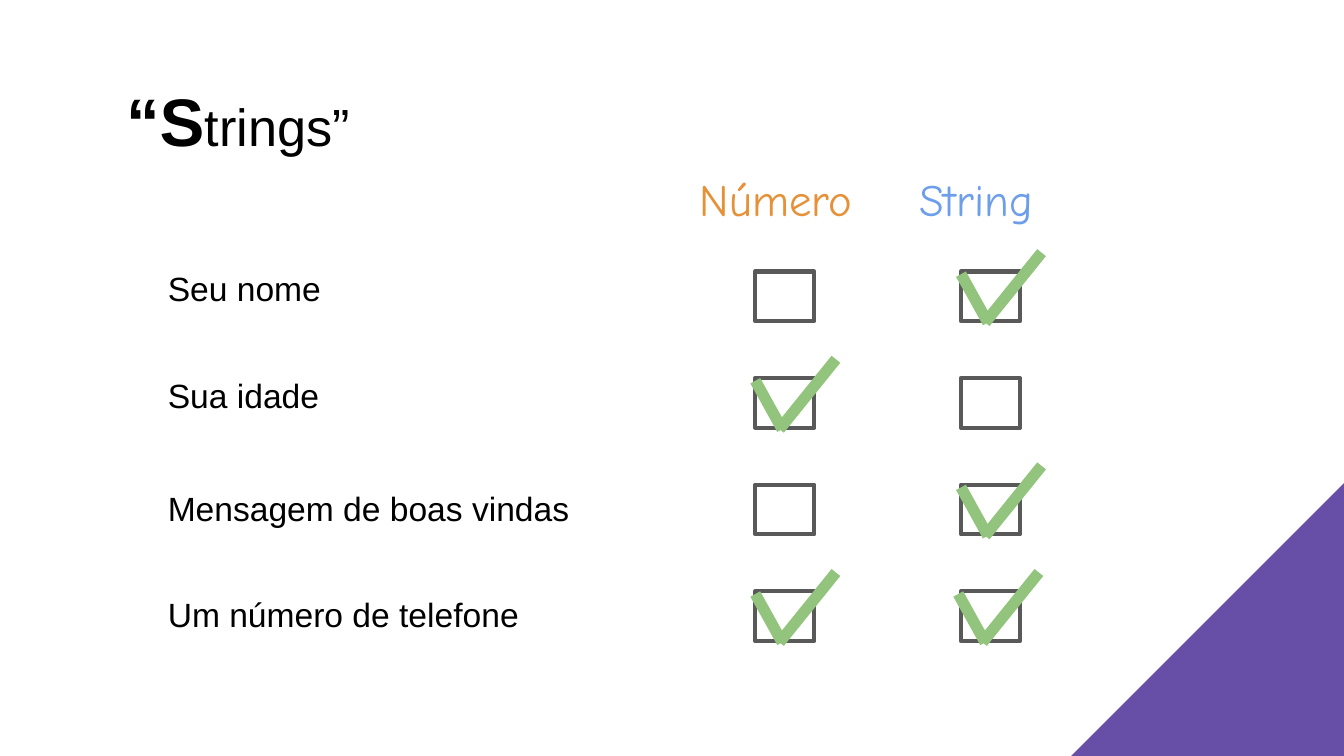
from copy import deepcopy
from dataclasses import dataclass

from lxml.etree import SubElement
from pptx import Presentation
from pptx.dml.color import RGBColor
from pptx.enum.shapes import MSO_CONNECTOR, MSO_SHAPE
from pptx.oxml.ns import qn
from pptx.util import Inches, Pt


@dataclass(frozen=True)
class Theme:
    purple: RGBColor = RGBColor.from_string("674EA7")
    white: RGBColor = RGBColor.from_string("FFFFFF")
    black: RGBColor = RGBColor.from_string("000000")
    orange: RGBColor = RGBColor.from_string("E69138")
    blue: RGBColor = RGBColor.from_string("6D9EEB")
    gray: RGBColor = RGBColor.from_string("595959")
    green: RGBColor = RGBColor.from_string("93C47D")
    body_font: str = "Arial"
    heading_font: str = "Comic Neue"
    initial_size: Pt = Pt(36)
    title_size: Pt = Pt(28)
    heading_size: Pt = Pt(24)
    body_size: Pt = Pt(18)
    box_line: Pt = Pt(2.25)
    tick_line: Pt = Pt(6)


THEME = Theme()

# Heading, left, width and colour of the heading, left of its checkboxes
COLUMNS = [
    ("Número", 5.11, 1.46, THEME.orange, 5.62),
    ("String", 6.74, 1.27, THEME.blue, 7.15),
]
# Label, its top, and the left of the tick in each column (None: unticked)
ROWS = [
    ("Seu nome", 1.89, (None, 7.15)),
    ("Sua idade", 2.69, (5.62, None)),
    ("Mensagem de boas vindas", 3.53, (None, 7.15)),
    ("Um número de telefone", 4.32, (5.62, 7.13)),
]
FIRST_BOX_TOP, LAST_BOX_TOP = 2.02, 4.4
ROW_STEP = (LAST_BOX_TOP - FIRST_BOX_TOP) / (len(ROWS) - 1)


def paint_corner(page):
    """Fill the background white with a hard-edged purple corner."""
    fill = page.background.fill
    fill.gradient()
    fill.gradient_angle = 135
    stop_list = page.element.xpath(".//a:gsLst")[0]
    for stop in list(stop_list):
        stop_list.append(deepcopy(stop))
    stops = [(0, THEME.purple), (0.13, THEME.purple), (0.13, THEME.white), (1, THEME.white)]
    for stop, (position, color) in zip(fill.gradient_stops, stops):
        stop.position = position
        stop.color.rgb = color


def add_text(page, left, top, width, height, spans, color):
    """Add one paragraph of (text, font format) spans and return it."""
    box = page.shapes.add_textbox(Inches(left), Inches(top), Inches(width), Inches(height))
    frame = box.text_frame
    frame.word_wrap = True
    for side in ("left", "top", "right", "bottom"):
        setattr(frame, f"margin_{side}", Inches(0.1))
    para = frame.paragraphs[0]
    for text, formats in spans:
        span = para.add_run()
        span.text = text
        for name, value in formats.items():
            setattr(span.font, name, value)
        span.font.color.rgb = color
    return para


def add_title(page):
    spans = [
        ("“S", {"name": THEME.body_font, "size": THEME.initial_size, "bold": True}),
        ("trings”", {"name": THEME.body_font, "size": THEME.title_size, "bold": False}),
    ]
    para = add_text(page, 0.34, 0.49, 9.32, 0.83, spans, THEME.black)
    para._p.get_or_add_pPr().set("marL", str(Inches(0.5)))


def add_checkbox(page, left, top):
    box = page.shapes.add_shape(
        MSO_SHAPE.RECTANGLE, Inches(left), Inches(top), Inches(0.44), Inches(0.37))
    box.shadow.inherit = False
    box.fill.solid()
    box.fill.fore_color.rgb = THEME.white
    box.line.color.rgb = THEME.gray
    box.line.width = THEME.box_line


def add_tick(page, left, top):
    """Draw a short falling stroke and a long rising one as a group."""
    group = page.shapes.add_group_shape()
    for x1, y1, x2, y2 in [(0, 0, 0.2, 0.36), (0.18, 0.36, 0.6, -0.16)]:
        stroke = group.shapes.add_connector(
            MSO_CONNECTOR.STRAIGHT, Inches(left + x1), Inches(top + y1),
            Inches(left + x2), Inches(top + y2))
        stroke.line.color.rgb = THEME.green
        stroke.line.width = THEME.tick_line
        SubElement(stroke._element.spPr, qn("a:effectLst"))


def main():
    deck = Presentation()
    deck.slide_width = Inches(10)
    deck.slide_height = Inches(10 * 9 / 16)
    page = deck.slides.add_slide(deck.slide_layouts[6])
    paint_corner(page)
    add_title(page)

    heading_format = {"name": THEME.heading_font, "size": THEME.heading_size}
    for heading, left, width, color, _ in COLUMNS:
        add_text(page, left, 1.18, width, 0.62, [(heading, heading_format)], color)

    label_format = {"name": THEME.body_font, "size": THEME.body_size}
    for index, (label, label_top, ticks) in enumerate(ROWS):
        box_top = FIRST_BOX_TOP + index * ROW_STEP
        add_text(page, 1.15, label_top, 3.41, 0.62, [(label, label_format)], THEME.black)
        for (*_, box_left), tick_left in zip(COLUMNS, ticks):
            add_checkbox(page, box_left, box_top)
            if tick_left is not None:
                add_tick(page, tick_left, box_top + 0.02)

    deck.save("out.pptx")


if __name__ == "__main__":
    main()
